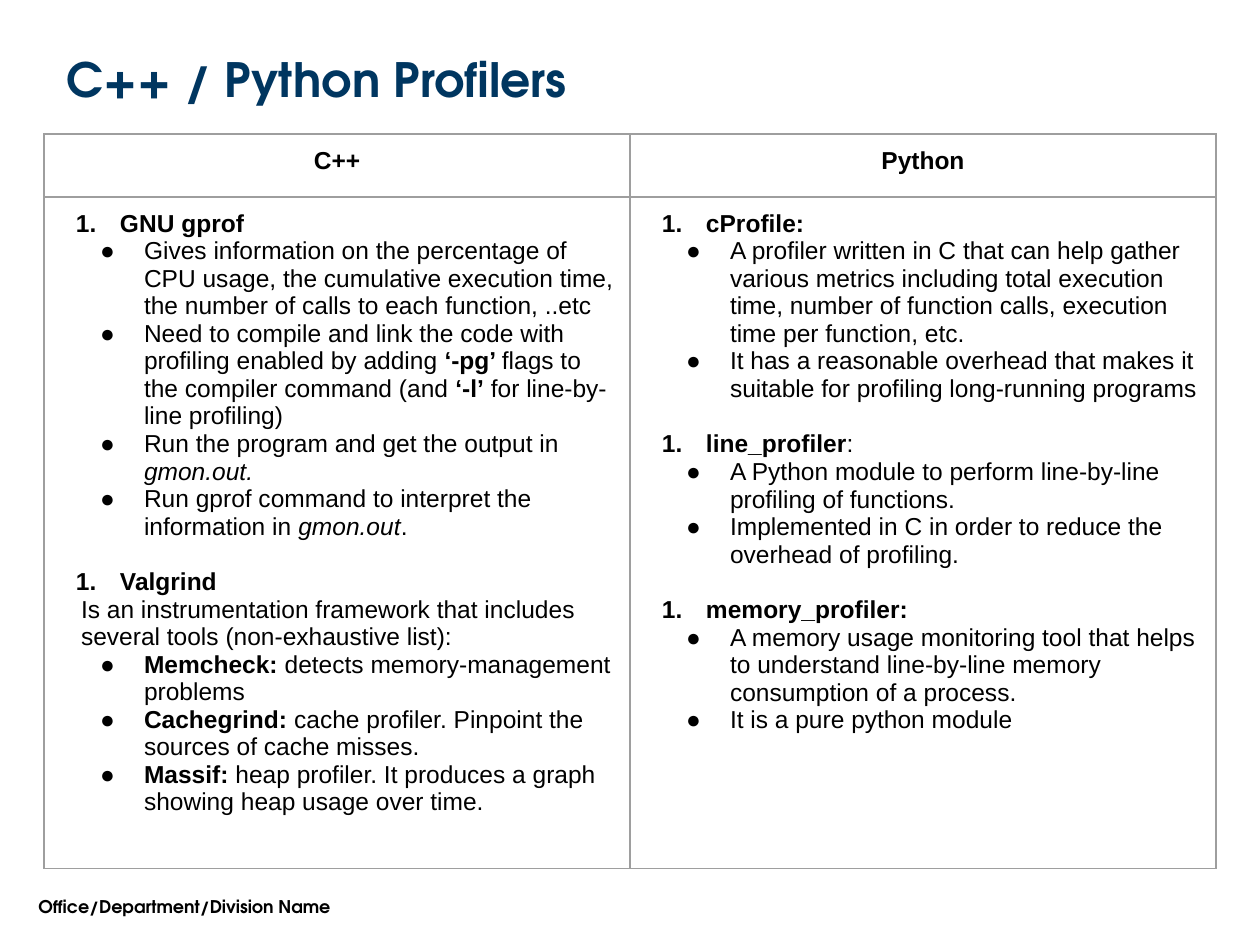
from lxml.etree import SubElement
from pptx import Presentation
from pptx.dml.color import RGBColor as RGB
from pptx.enum.text import MSO_ANCHOR as ANCHOR, MSO_AUTO_SIZE as AUTO, PP_ALIGN as ALIGN
from pptx.oxml import parse_xml
from pptx.oxml.ns import nsdecls, qn
from pptx.util import Emu, Pt

PX = 914400 / 126
COLORS = {"title": "003660", "text": "000000", "border": "9E9E9E"}
HEADING_FONT, BODY_FONT = "TeX Gyre Adventor", "Arial"
INDENTS = {"number": (63, -44), "bullet": (87, -44), "plain": (24, 0)}

CPP = [
    ("number", [("GNU gprof", "b")]),
    ("bullet", [("Gives information on the percentage of CPU usage, the cumulative "
                 "execution time, the number of calls to each function, ..etc", "")]),
    ("bullet", [("Need to compile and link the code with profiling enabled by adding ", ""),
                ("‘-pg’ ", "b"), ("flags to the compiler command (and ", ""),
                ("‘-l’", "b"), (" for line-by-line profiling)", "")]),
    ("bullet", [("Run the program and get the output in ", ""), ("gmon.out.", "i")]),
    ("bullet", [("Run gprof command to interpret the information in ", ""),
                ("gmon.out", "i"), (".", "")]),
    ("number", [("Valgrind", "b")]),
    ("plain", [("Is an instrumentation framework that includes several tools "
                "(non-exhaustive list):", "")]),
    ("bullet", [("Memcheck:", "b"), (" detects memory-management problems", "")]),
    ("bullet", [("Cachegrind:", "b"),
                (" cache profiler. Pinpoint the sources of cache misses.", "")]),
    ("bullet", [("Massif:", "b"),
                (" heap profiler. It produces a graph showing heap usage over time.", "")]),
]
PYTHON = [
    ("number", [("cProfile:", "b")]),
    ("bullet", [("A profiler written in C that can help gather various metrics including total "
                 "execution time, number of function calls, execution time per function, etc.", "")]),
    ("bullet", [("It has a reasonable overhead that makes it suitable for profiling "
                 "long-running programs", "")]),
    ("number", [("line_profiler", "b"), (":", "")]),
    ("bullet", [("A Python module to perform line-by-line profiling of functions.", "")]),
    ("bullet", [("Implemented in C in order to reduce the overhead of profiling.", "")]),
    ("number", [("memory_profiler:", "b")]),
    ("bullet", [("A memory usage monitoring tool that helps to understand line-by-line "
                 "memory consumption of a process.", "")]),
    ("bullet", [("It is a pure python module", "")]),
]


def px(n):
    """Turn pixels into EMU."""
    return Emu(round(n * PX))


def add_text(p, text, size=14, font=BODY_FONT, color="text", bold=False, italic=False):
    """Append a formatted run to a paragraph."""
    r = p.add_run()
    r.text = text
    f = r.font
    f.size, f.name, f.bold, f.italic = Pt(size), font, bold, italic
    f.color.rgb = RGB.from_string(COLORS[color])


def set_marker(p, kind):
    """Give a paragraph its indent and its number or bullet."""
    pPr = p._p.get_or_add_pPr()
    left, first = INDENTS[kind]
    pPr.set("marL", str(px(left)))
    pPr.set("indent", str(px(first)))
    if kind == "plain":
        SubElement(pPr, qn("a:buNone"))
        return
    clr = SubElement(pPr, qn("a:buClr"))
    SubElement(clr, qn("a:srgbClr"), val=COLORS["text"])
    SubElement(pPr, qn("a:buFont"), typeface=BODY_FONT)
    if kind == "number":
        SubElement(pPr, qn("a:buAutoNum"), type="arabicPeriod")
    else:
        SubElement(pPr, qn("a:buChar"), char="●")


def style_cell(cell):
    """Clear the fill of a cell, set its margins and draw its borders."""
    cell.fill.background()
    cell.margin_left = cell.margin_right = cell.margin_top = cell.margin_bottom = px(13)
    tcPr = cell._tc.get_or_add_tcPr()
    for i, side in enumerate("LRTB"):
        tcPr.insert(i, parse_xml(
            f'<a:ln{side} {nsdecls("a")} w="{Pt(0.75)}"><a:solidFill>'
            f'<a:srgbClr val="{COLORS["border"]}"/></a:solidFill></a:ln{side}>'))


def fill_list(tf, items):
    """Write a list, with a gap before each later numbered heading."""
    for i, (kind, runs) in enumerate(items):
        p = tf.add_paragraph() if i else tf.paragraphs[0]
        if i and kind == "number":
            p.space_before = Pt(16)
        set_marker(p, kind)
        for text, style in runs:
            add_text(p, text, bold=style == "b", italic=style == "i")


def add_title(s, x, y, w, h):
    """Place the slide title."""
    sp = s.shapes.title
    sp.left, sp.top, sp.width, sp.height = map(px, (x, y, w, h))
    tf = sp.text_frame
    tf.auto_size, tf.vertical_anchor = AUTO.NONE, ANCHOR.MIDDLE
    p = tf.paragraphs[0]
    p.alignment, p.line_spacing = ALIGN.LEFT, 0.9
    add_text(p, "C++ / Python Profilers", size=27, font=HEADING_FONT, color="title", bold=True)


def add_profilers(s, x, y, w, h, header=63):
    """Place the table with one column for each language."""
    columns = [("C++", CPP), ("Python", PYTHON)]
    table = s.shapes.add_table(2, len(columns), px(x), px(y), px(w), px(h)).table
    table.rows[0].height, table.rows[1].height = px(header), px(h - header)
    for i, (name, items) in enumerate(columns):
        table.columns[i].width = px(w / len(columns))
        head, body = table.cell(0, i), table.cell(1, i)
        style_cell(head)
        style_cell(body)
        p = head.text_frame.paragraphs[0]
        p.alignment = ALIGN.CENTER
        add_text(p, name, bold=True)
        fill_list(body.text_frame, items)


def add_footer(s, x, y, w, h):
    """Place the department line."""
    tf = s.shapes.add_textbox(px(x), px(y), px(w), px(h)).text_frame
    tf.word_wrap, tf.vertical_anchor = True, ANCHOR.MIDDLE
    add_text(tf.paragraphs[0], "Office/Department/Division Name",
             size=10, font=HEADING_FONT, bold=True)


def main():
    """Build the slide and save it."""
    prs = Presentation()
    prs.slide_width, prs.slide_height = px(1260), px(945)
    s = prs.slides.add_slide(prs.slide_layouts[5])
    add_footer(s, 26, 890, 607, 34)
    add_title(s, 54, 50, 1148, 64)
    add_profilers(s, 44, 134, 1172, 694)
    prs.save("out.pptx")


if __name__ == "__main__":
    main()
